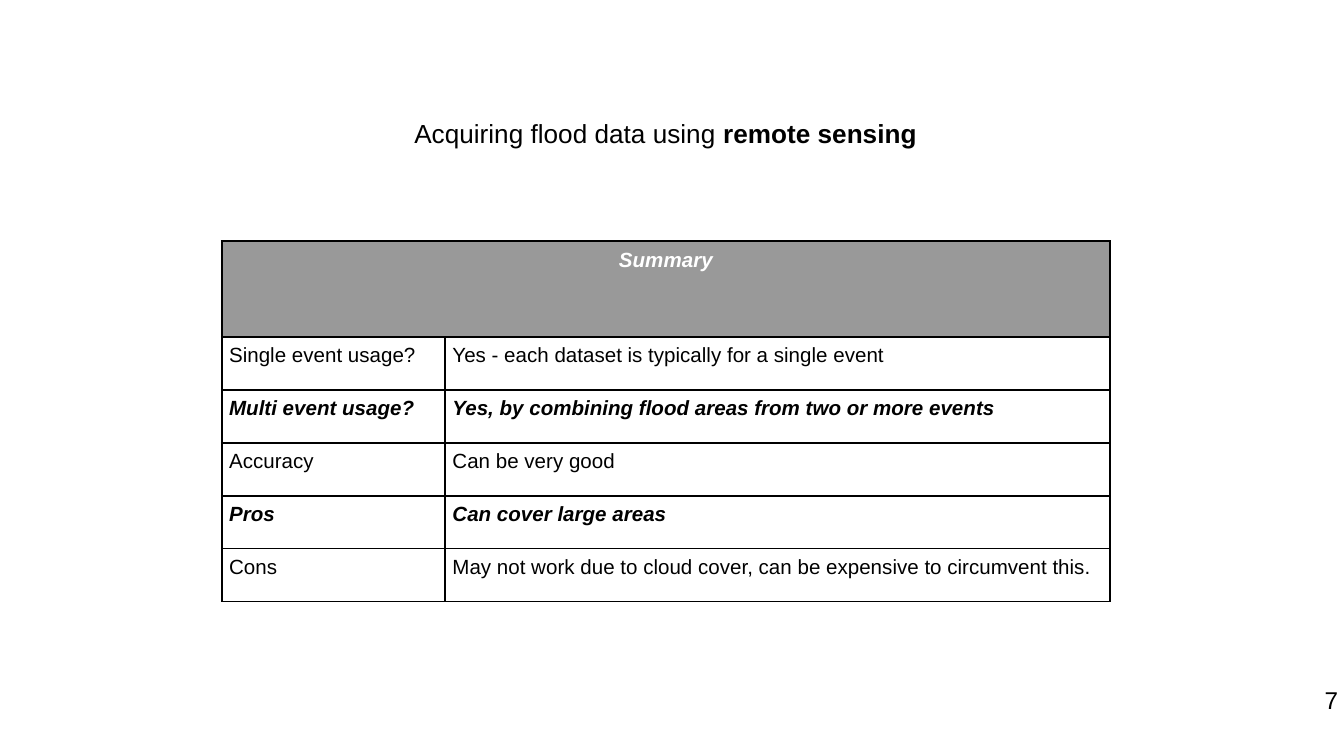
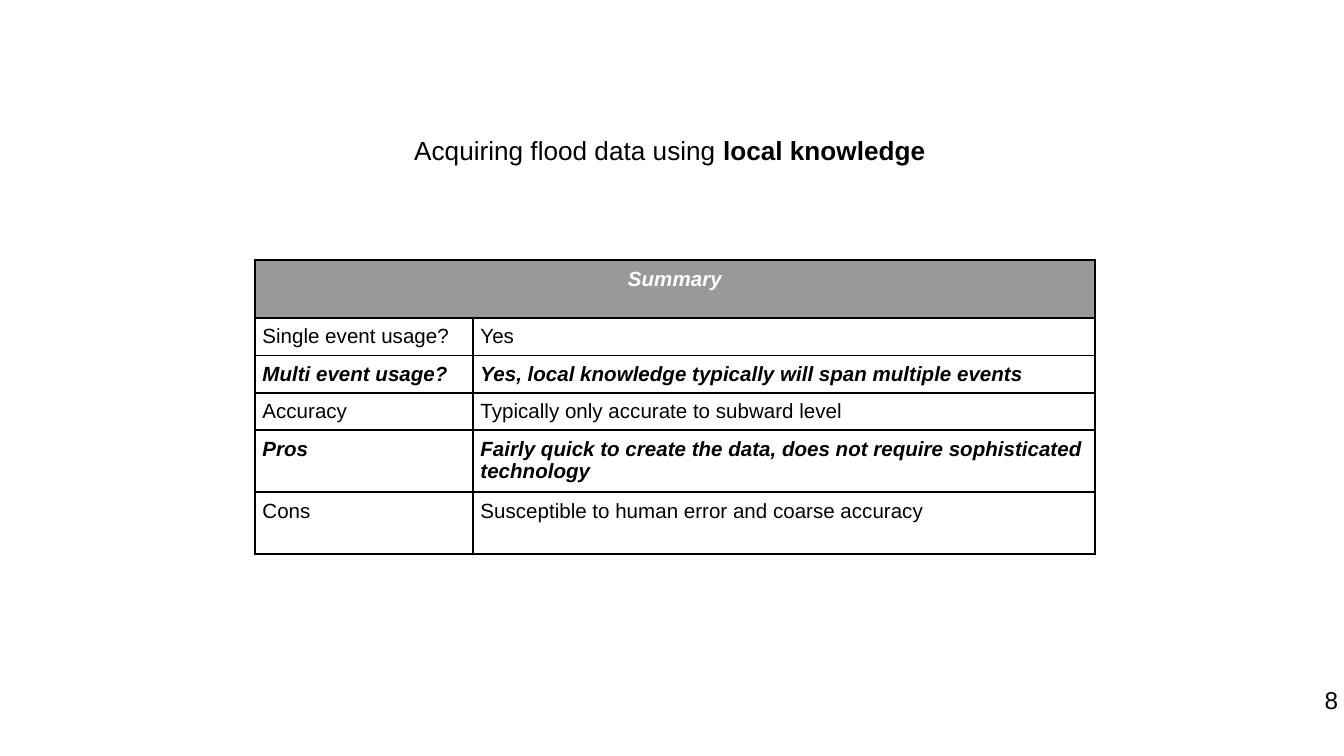
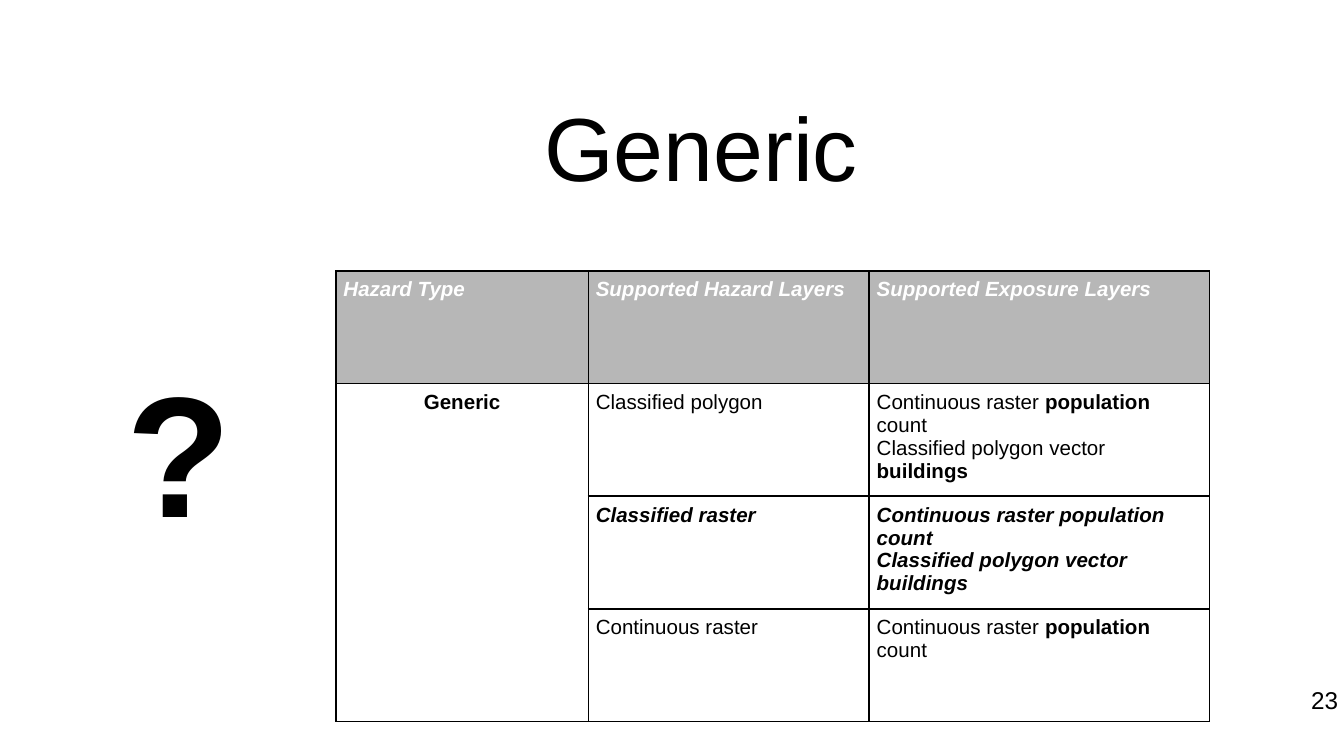
import lxml.etree
import pptx
import pptx.dml.color
import pptx.enum.shapes
import pptx.enum.text
import pptx.oxml.ns
import pptx.util

Cm = pptx.util.Cm
Pt = pptx.util.Pt
ALIGN = pptx.enum.text.PP_ALIGN
ANCHOR = pptx.enum.text.MSO_ANCHOR

BLACK = pptx.dml.color.RGBColor(0x00, 0x00, 0x00)
WHITE = pptx.dml.color.RGBColor(0xFF, 0xFF, 0xFF)
DARK_GREY = pptx.dml.color.RGBColor(0x99, 0x99, 0x99)
LIGHT_GREY = pptx.dml.color.RGBColor(0xB7, 0xB7, 0xB7)
FONT = "Arial"
CELL_MARGIN = 0.14
CELL_BOTTOM = 0.1

QUESTIONS = ["Single event usage?", "Multi event usage?", "Accuracy", "Pros", "Cons"]
REMOTE_ANSWERS = [
    "Yes - each dataset is typically for a single event",
    "Yes, by combining flood areas from two or more events",
    "Can be very good",
    "Can cover large areas",
    "May not work due to cloud cover, can be expensive to circumvent this.",
]
LOCAL_ANSWERS = [
    "Yes",
    "Yes, local knowledge typically will span multiple events",
    "Typically only accurate to subward level",
    "Fairly quick to create the data, does not require sophisticated technology",
    "Susceptible to human error and coarse accuracy",
]
HAZARD_ROWS = [
    ["Hazard Type", "Supported Hazard Layers", "Supported Exposure Layers"],
    ["|Generic|", "Classified polygon",
     "Continuous raster |population| count\nClassified polygon vector |buildings|"],
    ["", "Classified raster",
     "Continuous raster population count\nClassified polygon vector buildings"],
    ["", "Continuous raster", "Continuous raster |population| count"],
]

SLIDES = [
    {
        "number": "7",
        "title": "Acquiring flood data using |remote sensing|",
        "title_box": (4.63, 2.09, 15.9, 0.81), "title_size": 14,
        "title_margin": 0.13, "title_anchor": ANCHOR.TOP,
        "table_at": (4.19, 4.56), "columns": [4.22, 12.57],
        "heights": [1.81] + [1] * 5, "header_fill": DARK_GREY,
        "rows": [["Summary", ""]] + list(zip(QUESTIONS, REMOTE_ANSWERS)),
        "merge": (0, 0, 0, 1),
    },
    {
        "number": "8",
        "title": "Acquiring flood data using |local knowledge|",
        "title_box": (4.71, 2.55, 15.9, 0.56), "title_size": 14,
        "title_margin": 0, "title_anchor": ANCHOR.TOP,
        "table_at": (4.82, 4.92), "columns": [4.12, 11.75],
        "heights": [1.09] + [0.61] * 4 + [1.17], "header_fill": DARK_GREY,
        "rows": [["Summary", ""]] + list(zip(QUESTIONS, LOCAL_ANSWERS)),
        "merge": (0, 0, 0, 1),
    },
    {
        "number": "23",
        "title": "Generic",
        "title_box": (1.73, 0.59, 23.04, 3.18), "title_size": 48,
        "title_margin": 0, "title_anchor": ANCHOR.BOTTOM,
        "table_at": (6.35, 5.12), "columns": [4.77, 5.31, 6.43],
        "heights": [2.13] * 4, "header_fill": LIGHT_GREY,
        "rows": HAZARD_ROWS,
        "merge": (1, 0, 3, 0),
        "symbol": "|?|",
    },
]


def write(frame, text, size, align, color=BLACK, emphasis=False):
    for index, line in enumerate(text.split("\n")):
        para = frame.paragraphs[0] if index == 0 else frame.add_paragraph()
        para.alignment = align
        for part, words in enumerate(line.split("|")):
            if words:
                span = para.add_run()
                span.text = words
                span.font.name = FONT
                span.font.size = Pt(size)
                span.font.color.rgb = color
                span.font.bold = emphasis or part % 2 == 1
                span.font.italic = emphasis


def prepare(frame, margin, anchor):
    frame.word_wrap = True
    frame.vertical_anchor = anchor
    frame.margin_left = frame.margin_right = Cm(margin)
    frame.margin_top = frame.margin_bottom = Cm(margin)
    return frame


deck = pptx.Presentation()
deck.slide_width = Cm(25.4)
deck.slide_height = Cm(14.29)

for content in SLIDES:
    page = deck.slides.add_slide(deck.slide_layouts[6])

    number_box = page.shapes.add_textbox(Cm(23.77), Cm(12.71), Cm(1.52), Cm(1.02))
    write(prepare(number_box.text_frame, 0, ANCHOR.MIDDLE), content["number"], 13, ALIGN.RIGHT)

    rows, columns, heights = content["rows"], content["columns"], content["heights"]
    left, top = content["table_at"]
    table = page.shapes.add_table(
        len(rows), len(columns), Cm(left), Cm(top), Cm(sum(columns)), Cm(sum(heights))
    ).table
    table.first_row = False
    table.horz_banding = False
    for column, width in zip(table.columns, columns):
        column.width = Cm(width)
    for row, height in zip(table.rows, heights):
        row.height = Cm(height)

    first_row, first_column, last_row, last_column = content["merge"]
    merged = table.cell(first_row, first_column)
    merged.merge(table.cell(last_row, last_column))

    for row_index, texts in enumerate(rows):
        for column_index, text in enumerate(texts):
            cell = table.cell(row_index, column_index)
            cell.margin_left = cell.margin_right = cell.margin_top = Cm(CELL_MARGIN)
            cell.margin_bottom = Cm(CELL_BOTTOM)
            properties = cell._tc.get_or_add_tcPr()
            for side in ("a:lnL", "a:lnR", "a:lnT", "a:lnB"):
                border = lxml.etree.SubElement(
                    properties, pptx.oxml.ns.qn(side), w=str(Pt(1))
                )
                fill = lxml.etree.SubElement(border, pptx.oxml.ns.qn("a:solidFill"))
                lxml.etree.SubElement(fill, pptx.oxml.ns.qn("a:srgbClr"), val=str(BLACK))
            if row_index == 0:
                cell.fill.solid()
                cell.fill.fore_color.rgb = content["header_fill"]
            else:
                cell.fill.background()
            centred = (row_index, column_index) == (first_row, first_column)
            write(
                cell.text_frame, text, 11,
                ALIGN.CENTER if centred else ALIGN.LEFT,
                WHITE if row_index == 0 else BLACK,
                emphasis=row_index % 2 == 0,
            )

    if "symbol" in content:
        symbol = page.shapes.add_shape(
            pptx.enum.shapes.MSO_SHAPE.RECTANGLE, Cm(1.65), Cm(6.53), Cm(3.45), Cm(3.71)
        )
        symbol.shadow.inherit = False
        symbol.fill.solid()
        symbol.fill.fore_color.rgb = WHITE
        symbol.line.color.rgb = WHITE
        symbol.line.width = Pt(3)
        write(prepare(symbol.text_frame, 0, ANCHOR.TOP), content["symbol"], 92, ALIGN.CENTER)

    title_box = page.shapes.add_textbox(*[Cm(length) for length in content["title_box"]])
    title_frame = prepare(title_box.text_frame, content["title_margin"], content["title_anchor"])
    write(title_frame, content["title"], content["title_size"], ALIGN.CENTER)

deck.save("out.pptx")
